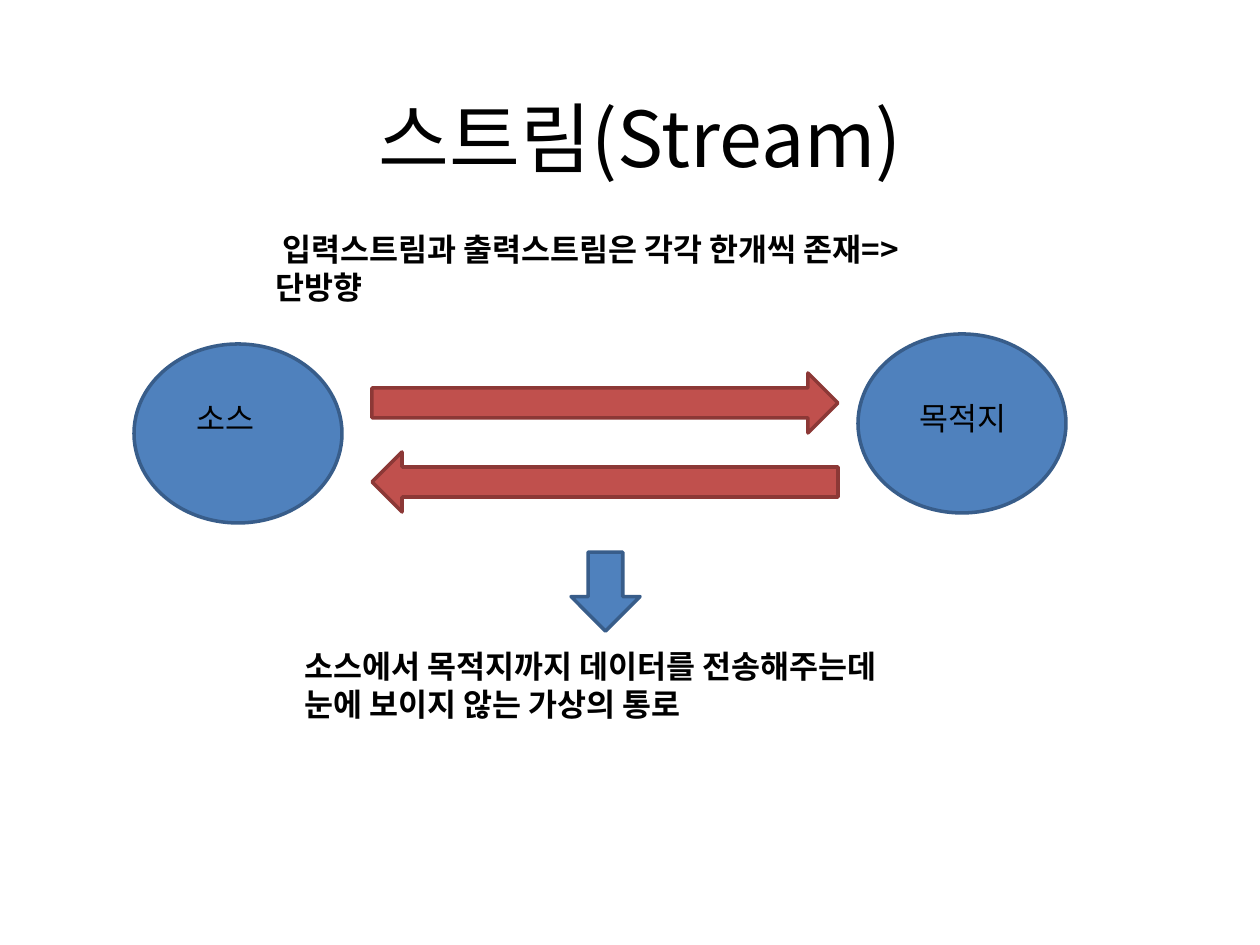
from dataclasses import dataclass

import pptx
import pptx.dml.color
import pptx.enum.shapes
import pptx.enum.text
import pptx.oxml.ns
import pptx.util
from lxml import etree

EMU_PER_PX = 914400 / 126
FONT = "Noto Sans CJK KR"
COLORS = {
    "text": "000000",
    "blue": "4F81BD",
    "blue_line": "385D8A",
    "red": "C0504D",
    "red_line": "8C3836",
}
SHAPES = pptx.enum.shapes.MSO_SHAPE


@dataclass
class Box:
    left: int
    top: int
    width: int
    height: int

    def emu(self) -> list[int]:
        return [round(length * EMU_PER_PX)
                for length in (self.left, self.top, self.width, self.height)]


@dataclass
class Figure:
    kind: SHAPES
    box: Box
    color: str
    rotation: int = 0


@dataclass
class Label:
    lines: list[str]
    box: Box
    bold: bool = False


FIGURES = [
    Figure(SHAPES.OVAL, Box(134, 344, 208, 179), "blue"),
    Figure(SHAPES.OVAL, Box(858, 334, 208, 179), "blue"),
    Figure(SHAPES.RIGHT_ARROW, Box(372, 373, 466, 60), "red"),
    Figure(SHAPES.RIGHT_ARROW, Box(372, 452, 466, 60), "red", 180),
    Figure(SHAPES.DOWN_ARROW, Box(571, 552, 69, 79), "blue"),
]
LABELS = [
    Label(["소스"], Box(184, 393, 100, 50)),
    Label(["목적지"], Box(907, 393, 129, 50)),
    Label(["소스에서 목적지까지 데이터를 전송해주는데", "눈에 보이지 않는 가상의 통로"],
          Box(292, 641, 694, 88), bold=True),
    Label([" 입력스트림과 출력스트림은 각각 한개씩 존재=>단방향"],
          Box(263, 224, 694, 88), bold=True),
]


def rgb(name: str) -> pptx.dml.color.RGBColor:
    return pptx.dml.color.RGBColor.from_string(COLORS[name])


def format_paragraph(paragraph, size: int, bold: bool = False) -> None:
    """Set the font for both Latin and Korean letters."""
    font = paragraph.font
    font.size = pptx.util.Pt(size)
    font.bold = bold
    font.color.rgb = rgb("text")
    font.name = FONT
    qn = pptx.oxml.ns.qn
    properties = paragraph._p.get_or_add_pPr().find(qn("a:defRPr"))
    etree.SubElement(properties, qn("a:ea")).set("typeface", FONT)


def draw_title(slide, text: str, box: Box) -> None:
    title = slide.shapes.title
    title.left, title.top, title.width, title.height = box.emu()
    title.text_frame.text = text
    title.text_frame.vertical_anchor = pptx.enum.text.MSO_ANCHOR.MIDDLE
    paragraph = title.text_frame.paragraphs[0]
    paragraph.alignment = pptx.enum.text.PP_ALIGN.CENTER
    format_paragraph(paragraph, 44)


def draw_figure(slide, figure: Figure) -> None:
    shape = slide.shapes.add_shape(figure.kind, *figure.box.emu())
    shape.rotation = figure.rotation
    shape.shadow.inherit = False
    shape.fill.solid()
    shape.fill.fore_color.rgb = rgb(figure.color)
    shape.line.color.rgb = rgb(figure.color + "_line")
    shape.line.width = pptx.util.Pt(2)


def draw_label(slide, label: Label) -> None:
    frame = slide.shapes.add_textbox(*label.box.emu()).text_frame
    frame.word_wrap = True
    frame.auto_size = pptx.enum.text.MSO_AUTO_SIZE.SHAPE_TO_FIT_TEXT
    frame.text = "\n".join(label.lines)
    for paragraph in frame.paragraphs:
        paragraph.line_spacing = pptx.util.Pt(21.6)
        format_paragraph(paragraph, 18, label.bold)


def main() -> None:
    presentation = pptx.Presentation()
    presentation.slide_width = pptx.util.Inches(10)
    presentation.slide_height = pptx.util.Inches(7.5)
    slide = presentation.slides.add_slide(
        presentation.slide_layouts.get_by_name("Title Only"))
    draw_title(slide, "스트림(Stream)", Box(105, 35, 1071, 203))
    for figure in FIGURES:
        draw_figure(slide, figure)
    for label in LABELS:
        draw_label(slide, label)
    presentation.save("out.pptx")


if __name__ == "__main__":
    main()
